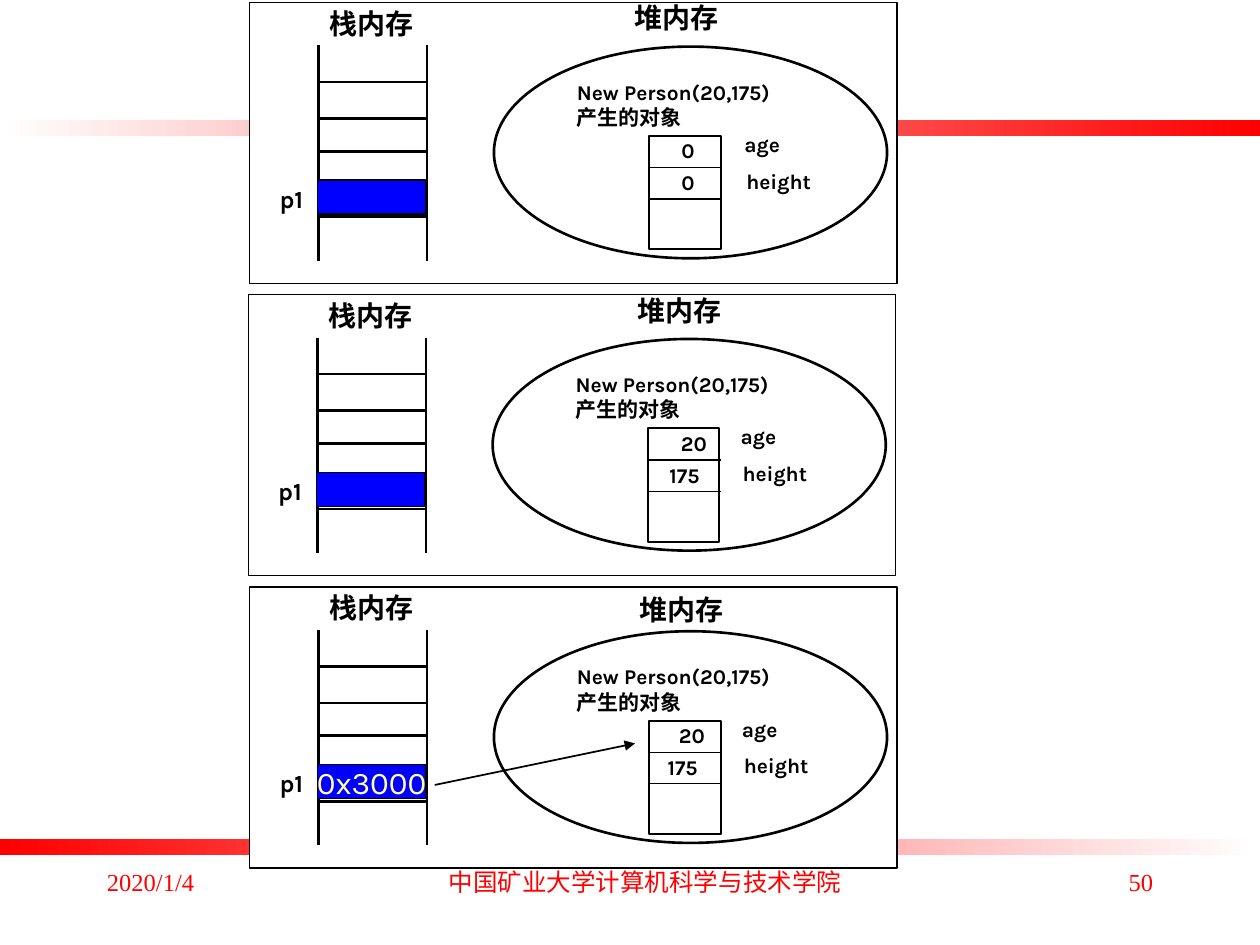
from dataclasses import dataclass

from lxml import etree
from pptx import Presentation
from pptx.dml.color import RGBColor
from pptx.enum.shapes import MSO_CONNECTOR, MSO_SHAPE
from pptx.enum.text import MSO_ANCHOR, MSO_AUTO_SIZE, PP_ALIGN
from pptx.oxml.ns import qn
from pptx.util import Inches, Pt

RECTANGLE, OVAL = MSO_SHAPE.RECTANGLE, MSO_SHAPE.OVAL
STRAIGHT = MSO_CONNECTOR.STRAIGHT
LEFT, CENTER, RIGHT = PP_ALIGN.LEFT, PP_ALIGN.CENTER, PP_ALIGN.RIGHT
MIDDLE = MSO_ANCHOR.MIDDLE
GROW = MSO_AUTO_SIZE.SHAPE_TO_FIT_TEXT

COLUMNS, ROWS = 100, 75


@dataclass(frozen=True)
class Theme:
    ink: str = "000000"
    paper: str = "FFFFFF"
    accent: str = "FF0000"
    reference: str = "0000FF"
    address: str = "FFFF99"
    label_font: str = "Karla"
    footer_font: str = "Times New Roman"
    chinese_font: str = "Noto Sans CJK SC"
    heading: float = 16
    variable: float = 14
    label: float = 12
    address_size: float = 18
    footer: float = 14
    thin: float = 0.75
    arrow: float = 1
    medium: float = 1.25
    thick: float = 1.5


class Canvas:
    """Draws on one slide in grid units, measured from a movable origin."""

    def __init__(self, deck, theme):
        self.theme = theme
        self.page = deck.slides.add_slide(deck.slide_layouts[6])
        self.column = deck.slide_width / COLUMNS
        self.row = deck.slide_height / ROWS
        self.end_panel()

    def begin_panel(self, left, top):
        """Group what follows and measure it from the panel's corner."""
        self.shapes = self.page.shapes.add_group_shape().shapes
        self.left, self.top = left, top

    def end_panel(self):
        self.shapes = self.page.shapes
        self.left = self.top = 0

    def point(self, x, y):
        return round((self.left + x) * self.column), round((self.top + y) * self.row)

    def area(self, x, y, width, height):
        return *self.point(x, y), round(width * self.column), round(height * self.row)

    def band(self, y, start, end):
        shape = self.shapes.add_shape(RECTANGLE, *self.area(0, y, COLUMNS, 1.3))
        shape.shadow.inherit = False
        shape.line.fill.background()
        shape.fill.gradient()
        shape.fill.gradient_angle = 0
        for stop, color in zip(shape.fill.gradient_stops, (start, end)):
            stop.color.rgb = RGBColor.from_string(color)

    def outline(self, kind, area, weight, fill=None):
        shape = self.shapes.add_shape(kind, *self.area(*area))
        shape.shadow.inherit = False
        shape.fill.solid()
        shape.fill.fore_color.rgb = RGBColor.from_string(fill or self.theme.paper)
        shape.line.color.rgb = RGBColor.from_string(self.theme.ink)
        shape.line.width = Pt(weight)
        return shape

    def line(self, start, end, weight, arrow=False):
        line = self.shapes.add_connector(STRAIGHT, *self.point(*start), *self.point(*end))
        line.line.color.rgb = RGBColor.from_string(self.theme.ink)
        line.line.width = Pt(weight)
        properties = line._element.spPr
        if arrow:
            etree.SubElement(properties.find(qn("a:ln")), qn("a:tailEnd"), type="triangle")
        etree.SubElement(properties, qn("a:effectLst"))

    def set_text(self, box, text, size, color, font, bold=False, align=LEFT):
        box.text_frame.text = text
        for para in box.text_frame.paragraphs:
            para.alignment = align
            for span in para.runs:
                span.font.name = font
                span.font.size = Pt(size)
                span.font.bold = bold
                span.font.color.rgb = RGBColor.from_string(color)
                latin = span.font._element.find(qn("a:latin"))
                latin.addnext(latin.makeelement(
                    qn("a:ea"), {"typeface": self.theme.chinese_font}))

    def label(self, text, area, size=None):
        box = self.shapes.add_textbox(*self.area(*area))
        box.text_frame.word_wrap = False
        box.text_frame.auto_size = GROW
        self.set_text(box, text, size or self.theme.label, self.theme.ink,
                      self.theme.label_font, bold=True)

    def footer(self, text, x, width, align):
        box = self.shapes.add_textbox(*self.area(x, 68.3, width, 5))
        box.text_frame.word_wrap = True
        self.set_text(box, text, self.theme.footer, self.theme.accent,
                      self.theme.footer_font, align=align)

    def stack(self, address):
        theme = self.theme
        for x in (5.5, 14.1):
            self.line((x, 3.4), (x, 20.5), theme.thick)
        for y in (6.3, 9.2, 11.8, 14.3, 17):
            self.line((5.5, y), (14.1, y), theme.thick)
        cell = self.outline(RECTANGLE, (5.4, 14.1, 8.6, 2.7), theme.thin, theme.reference)
        if address:
            cell.text_frame.word_wrap = False
            cell.text_frame.vertical_anchor = MIDDLE
            self.set_text(cell, address, theme.address_size, theme.address,
                          theme.label_font, align=CENTER)
        self.label("栈内存", (5.4, -0.2, 8.7, 3.7), theme.heading)
        self.label("p1", (1.4, 13.9, 4.5, 3.3), theme.variable)

    def heap(self, heading_at, fields, names_x):
        """Draw the heap; fields holds the text, x and width of each value."""
        theme = self.theme
        self.outline(OVAL, (19.4, 3.5, 31.2, 16.8), theme.thick)
        self.label("堆内存", (*heading_at, 8.7, 3.7), theme.heading)
        self.label("New Person(20,175)\n产生的对象", (25, 5.6, 19.8, 5))
        self.outline(RECTANGLE, (31.7, 10.6, 5.7, 9), theme.medium)
        for index, (value, x, width) in enumerate(fields):
            divider = 13.1 + 2.5 * index
            self.line((31.7, divider), (37.5, divider), theme.thin)
            self.label(value, (x, 10.25 + 2.55 * index, width, 3))
        self.label("age", (names_x, 9.75, 5, 3))
        self.label("height", (names_x + 0.15, 12.65, 7.4, 3))


def main():
    deck = Presentation()
    deck.slide_width, deck.slide_height = Inches(10), Inches(7.5)
    theme = Theme()
    canvas = Canvas(deck, theme)
    canvas.band(9.5, theme.paper, theme.accent)
    canvas.band(66.6, theme.accent, theme.paper)

    panels = [
        (19.8, (29.6, -0.65), [("0", 33.3, 3.1), ("0", 33.3, 3.1)], 38.3, None),
        (19.7, (29.9, -0.6), [("20", 33.35, 4.2), ("175", 32.45, 5.2)], 38.1, None),
        (19.8, (30, -0.1), [("20", 33.1, 4.1), ("175", 32.2, 5.2)], 38.1, "0x3000"),
    ]
    for index, (left, heading_at, fields, names_x, address) in enumerate(panels):
        canvas.begin_panel(left, 0.2 + 23.2 * index)
        canvas.outline(RECTANGLE, (0, 0, 51.4, 22.3), theme.thin)
        canvas.stack(address)
        canvas.heap(heading_at, fields, names_x)
        if address:
            canvas.line((14.7, 15.7), (30.6, 12.4), theme.arrow, arrow=True)
    canvas.end_panel()

    canvas.footer("2020/1/4", 7.5, 20.8, LEFT)
    canvas.footer("中国矿业大学计算机科学与技术学院", 34.2, 34, CENTER)
    canvas.footer("50", 71.7, 20.8, RIGHT)
    deck.save("out.pptx")


if __name__ == "__main__":
    main()
